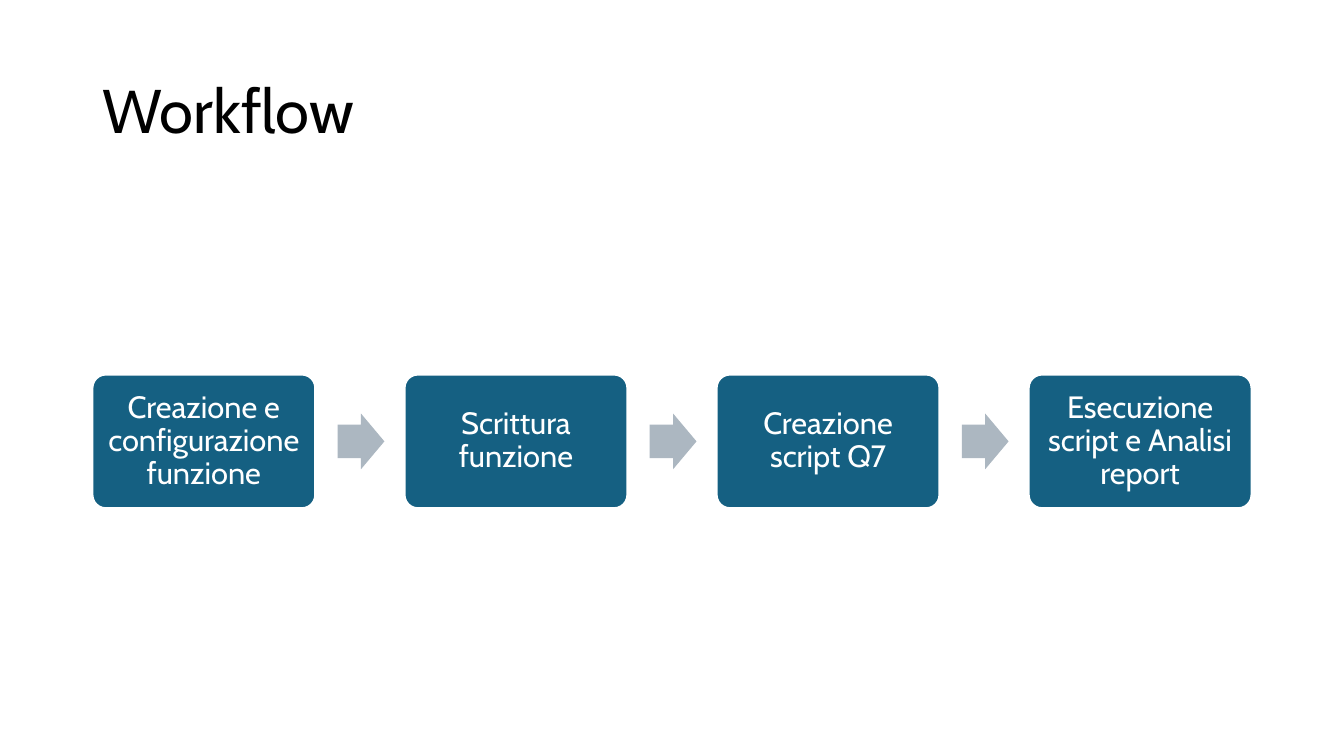
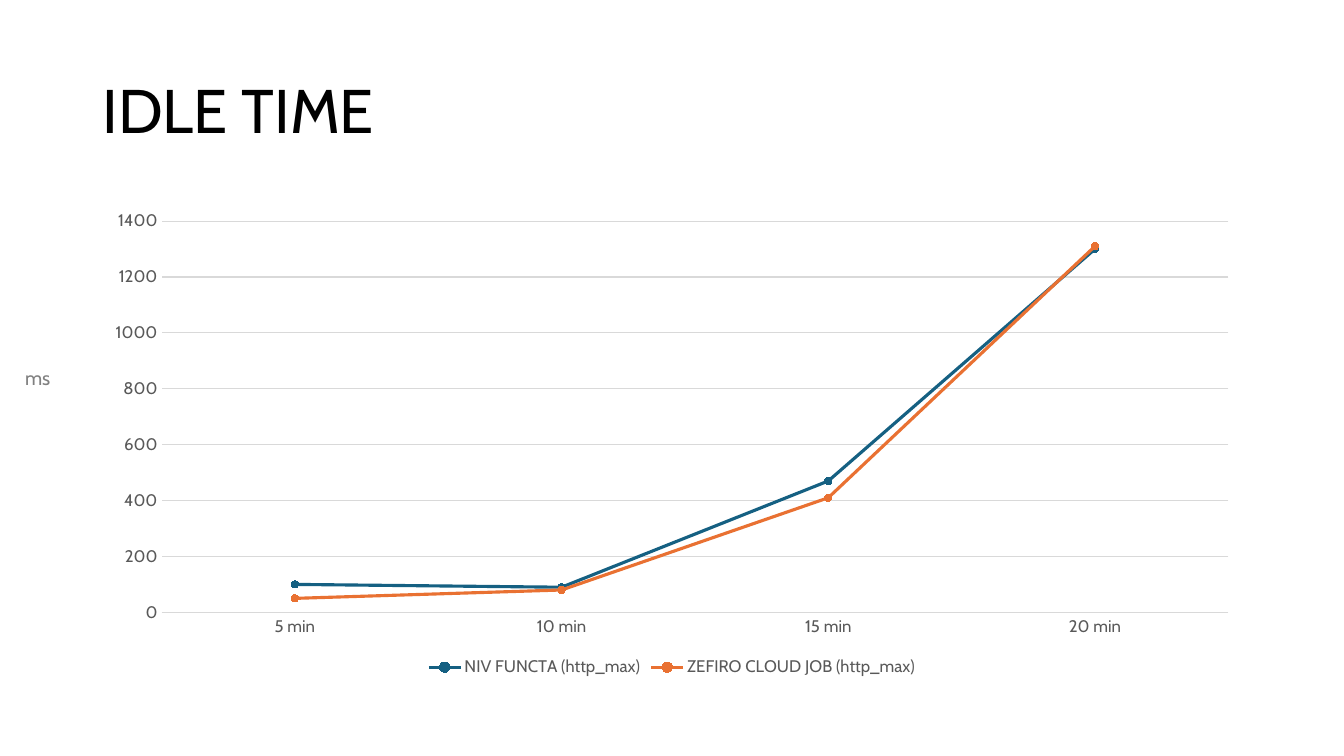
"""Builds the workflow and idle time slides."""
from dataclasses import dataclass

from pptx import Presentation
from pptx.chart.data import CategoryChartData
from pptx.dml.color import RGBColor
from pptx.enum.chart import XL_CHART_TYPE, XL_LEGEND_POSITION, XL_MARKER_STYLE, XL_TICK_MARK
from pptx.enum.shapes import MSO_SHAPE
from pptx.enum.text import MSO_ANCHOR, MSO_AUTO_SIZE, PP_ALIGN
from pptx.util import Emu, Inches, Pt

ROUNDED, ARROW = MSO_SHAPE.ROUNDED_RECTANGLE, MSO_SHAPE.RIGHT_ARROW
LINE_MARKERS, CIRCLE = XL_CHART_TYPE.LINE_MARKERS, XL_MARKER_STYLE.CIRCLE
BOTTOM, NO_TICK = XL_LEGEND_POSITION.BOTTOM, XL_TICK_MARK.NONE
LEFT, CENTER, MIDDLE = PP_ALIGN.LEFT, PP_ALIGN.CENTER, MSO_ANCHOR.MIDDLE
FIXED, GROW = MSO_AUTO_SIZE.NONE, MSO_AUTO_SIZE.SHAPE_TO_FIT_TEXT
TITLE_ONLY = 5
SLIDE_WIDTH, SLIDE_HEIGHT = Inches(40 / 3), Inches(7.5)
COLUMNS, ROWS = 160, 90


@dataclass(frozen=True)
class Theme:
    """Colours, font, type sizes and line widths of the deck."""
    font: str = "Cabin"
    ink: str = "000000"
    paper: str = "FFFFFF"
    primary: str = "156082"
    accent: str = "E97132"
    arrow: str = "ACB7C1"
    label: str = "595959"
    unit: str = "808080"
    rule: str = "D9D9D9"
    title_size: float = 44
    step_size: float = 22
    unit_size: float = 14
    chart_size: float = 12
    border: float = 1.5
    hairline: float = 0.75
    series_line: float = 2.25
    marker: int = 5
    line_spacing: float = 0.9


@dataclass(frozen=True)
class Area:
    """A rectangle in grid columns and rows."""
    left: float
    top: float
    width: float
    height: float

    def box(self) -> tuple[Emu, Emu, Emu, Emu]:
        """Return left, top, width and height as slide lengths."""
        column, row = SLIDE_WIDTH / COLUMNS, SLIDE_HEIGHT / ROWS
        return (Emu(round(self.left * column)), Emu(round(self.top * row)),
                Emu(round(self.width * column)), Emu(round(self.height * row)))


@dataclass(frozen=True)
class Series:
    """One measured line of the chart."""
    name: str
    values: tuple[int, ...]
    color: str


THEME = Theme()
TITLE = Area(11, 4.8, 138, 17.4)
BODY = Area(11, 24, 138, 57.1)
UNIT = Area(1.8, 43, 6, 4.1)

STEPS = ("Creazione e configurazione funzione", "Scrittura funzione",
         "Creazione script Q7", "Esecuzione script e Analisi report")
STEP_GAP, STEP_HEIGHT = 0.4, 0.6
STEP_INSET = Inches(0.08)
ARROW_OFFSET, ARROW_WIDTH, ARROW_HEIGHT = 1.1, 0.21, 0.25

IDLE_TIMES = ("5 min", "10 min", "15 min", "20 min")
PLATFORMS = (
    Series("NIV FUNCTA (http_max)", (100, 90, 470, 1300), THEME.primary),
    Series("ZEFIRO CLOUD JOB (http_max)", (50, 80, 410, 1310), THEME.accent),
)


def rgb(color: str) -> RGBColor:
    """Turn a hex string into a colour."""
    return RGBColor.from_string(color)


def style_font(font, size: float, color: str) -> None:
    """Apply the deck font with a size and colour."""
    font.name, font.size = THEME.font, Pt(size)
    font.color.rgb = rgb(color)


def style_line(line, color: str, width: float) -> None:
    """Draw a line in one colour and width."""
    line.color.rgb, line.width = rgb(color), Pt(width)


def add_slide(deck, heading: str):
    """Add a slide with its title set on the grid."""
    slide = deck.slides.add_slide(deck.slide_layouts[TITLE_ONLY])
    title = slide.shapes.title
    title.left, title.top, title.width, title.height = TITLE.box()
    frame = title.text_frame
    frame.text = heading
    frame.auto_size, frame.vertical_anchor = FIXED, MIDDLE
    paragraph = frame.paragraphs[0]
    paragraph.alignment, paragraph.line_spacing = LEFT, THEME.line_spacing
    style_font(paragraph.font, THEME.title_size, THEME.ink)
    return slide


def add_block(slide, preset, area: Area, fill: str, adjustments: tuple[float, ...]):
    """Add a flat filled shape without outline."""
    block = slide.shapes.add_shape(preset, *area.box())
    block.shadow.inherit = False
    block.fill.solid()
    block.fill.fore_color.rgb = rgb(fill)
    block.line.fill.background()
    for index, value in enumerate(adjustments):
        block.adjustments[index] = value
    return block


def add_step(slide, area: Area, label: str) -> None:
    """Add one labelled step of the workflow."""
    step = add_block(slide, ROUNDED, area, THEME.primary, (0.1,))
    style_line(step.line, THEME.paper, THEME.border)
    frame = step.text_frame
    frame.text, frame.word_wrap, frame.vertical_anchor = label, True, MIDDLE
    frame.margin_left = frame.margin_right = STEP_INSET
    frame.margin_top = frame.margin_bottom = STEP_INSET
    paragraph = frame.paragraphs[0]
    paragraph.alignment, paragraph.line_spacing = CENTER, THEME.line_spacing
    style_font(paragraph.font, THEME.step_size, THEME.paper)


def add_workflow(slide, labels: tuple[str, ...]) -> None:
    """Spread the steps over the body with an arrow in each gap."""
    width = BODY.width / (len(labels) + STEP_GAP * (len(labels) - 1))
    middle = BODY.top + BODY.height / 2

    def centered(left: float, wide: float, high: float) -> Area:
        """Place a part on the middle line, sized in step widths."""
        return Area(left, middle - high * width / 2, wide * width, high * width)

    for index, label in enumerate(labels):
        left = BODY.left + index * width * (1 + STEP_GAP)
        add_step(slide, centered(left, 1, STEP_HEIGHT), label)
        if index < len(labels) - 1:
            gap = centered(left + ARROW_OFFSET * width, ARROW_WIDTH, ARROW_HEIGHT)
            add_block(slide, ARROW, gap, THEME.arrow, (0.6, 0.5))


def add_idle_chart(slide) -> None:
    """Add the line chart of response times."""
    data = CategoryChartData()
    data.categories = IDLE_TIMES
    for platform in PLATFORMS:
        data.add_series(platform.name, platform.values)
    chart = slide.shapes.add_chart(LINE_MARKERS, *BODY.box(), data).chart
    chart.has_title = False
    style_font(chart.font, THEME.chart_size, THEME.label)
    chart.has_legend = True
    chart.legend.position, chart.legend.include_in_layout = BOTTOM, False
    style_font(chart.legend.font, THEME.chart_size, THEME.label)

    times, delays = chart.category_axis, chart.value_axis
    for axis in (times, delays):
        axis.major_tick_mark = axis.minor_tick_mark = NO_TICK
        style_font(axis.tick_labels.font, THEME.chart_size, THEME.label)
    style_line(times.format.line, THEME.rule, THEME.hairline)
    delays.format.line.fill.background()
    delays.minimum_scale, delays.maximum_scale, delays.major_unit = 0, 1400, 200
    style_line(delays.major_gridlines.format.line, THEME.rule, THEME.hairline)

    chart.plots[0].vary_by_categories = False
    for platform, series in zip(PLATFORMS, chart.plots[0].series):
        series.smooth = False
        style_line(series.format.line, platform.color, THEME.series_line)
        marker = series.marker
        marker.style, marker.size = CIRCLE, THEME.marker
        marker.format.fill.solid()
        marker.format.fill.fore_color.rgb = rgb(platform.color)
        style_line(marker.format.line, platform.color, THEME.hairline)


def add_unit(slide, unit: str) -> None:
    """Add the unit beside the value axis."""
    frame = slide.shapes.add_textbox(*UNIT.box()).text_frame
    frame.text, frame.word_wrap, frame.auto_size = unit, True, GROW
    style_font(frame.paragraphs[0].font, THEME.unit_size, THEME.unit)


def main() -> None:
    """Build and save the deck."""
    deck = Presentation()
    deck.slide_width, deck.slide_height = SLIDE_WIDTH, SLIDE_HEIGHT
    add_workflow(add_slide(deck, "Workflow"), STEPS)
    idle_time = add_slide(deck, "IDLE TIME")
    add_idle_chart(idle_time)
    add_unit(idle_time, "ms")
    deck.save("out.pptx")


if __name__ == "__main__":
    main()
